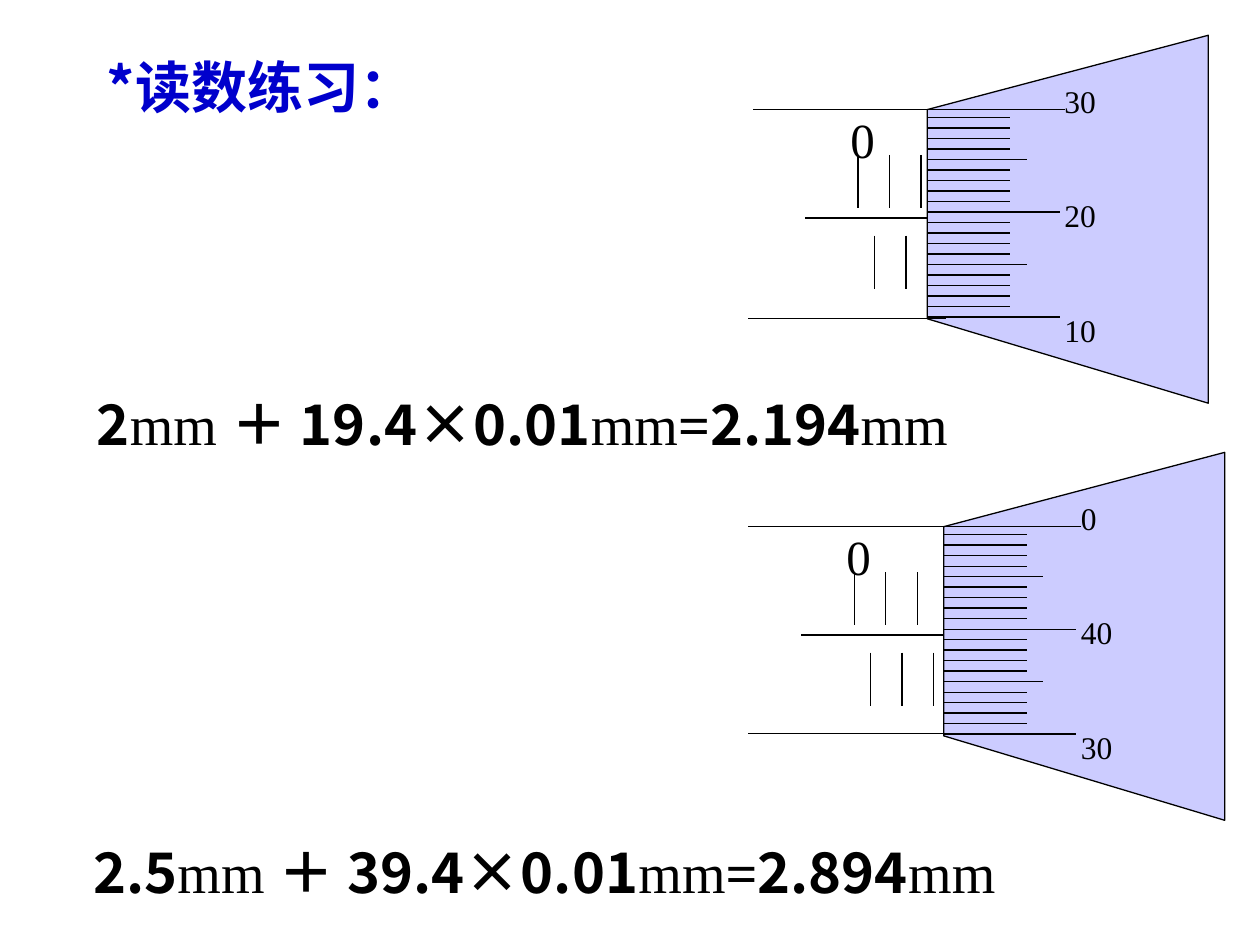
from lxml import etree
from pptx import Presentation
from pptx.dml.color import RGBColor
from pptx.enum.shapes import MSO_CONNECTOR
from pptx.enum.text import MSO_ANCHOR
from pptx.oxml.ns import qn
from pptx.util import Inches, Pt

CJK, LATIN = "Noto Sans CJK SC", "Times New Roman"
BLACK, BLUE, LILAC = "000000", "0000CC", "CCCCFF"


def rgb(color):
    """Turn a hex string into a colour."""
    return RGBColor.from_string(color)


def add_text(s, x, y, w, h, runs, size, color=BLACK, anchor=MSO_ANCHOR.TOP):
    """Add one line of text from (text, font, bold) runs."""
    tf = s.shapes.add_textbox(Inches(x), Inches(y), Inches(w), Inches(h)).text_frame
    tf.word_wrap, tf.vertical_anchor = True, anchor
    p = tf.paragraphs[0]
    for text, font, bold in runs:
        r = p.add_run()
        r.text = text
        r.font.color.rgb = rgb(color)
        for name, value in {"name": font, "size": Pt(size), "bold": bold}.items():
            setattr(r.font, name, value)
        r.font._element.find(qn("a:latin")).addnext(
            etree.Element(qn("a:ea"), typeface=CJK))


def add_line(s, x1, y1, x2, y2):
    """Draw a thin black line."""
    c = s.shapes.add_connector(MSO_CONNECTOR.STRAIGHT, Inches(x1), Inches(y1),
                               Inches(x2), Inches(y2))
    c.line.color.rgb, c.line.width = rgb(BLACK), Pt(0.75)
    etree.SubElement(c._element.spPr, qn("a:effectLst"))


def add_sleeve(s, zero, y, edge):
    """Draw the main scale, as far as the thimble edge, from its zero mark."""
    add_text(s, zero - 0.16, y - 0.05, 0.5, 0.5, [("0", LATIN, False)], 28)
    for start, top in ((zero, y + 0.36), (zero + 0.13, y + 1)):
        for i in range(int((edge - start) / 0.25) + 1):
            add_line(s, start + i * 0.25, top, start + i * 0.25, top + 0.42)
    add_line(s, zero - 0.42, y + 0.86, edge, y + 0.86)


def add_thimble(s, x, y, labels):
    """Draw the thimble with its 20 divisions and numbers."""
    fb = s.shapes.build_freeform(Inches(x), Inches(y), scale=1.0)
    fb.add_line_segments([(Inches(x + dx), Inches(y + dy)) for dx, dy in
                          ((0, 1.66), (2.23, 2.33), (2.23, -0.59))])
    sp = fb.convert_to_shape()
    sp.shadow.inherit = False
    sp.fill.solid()
    sp.fill.fore_color.rgb = rgb(LILAC)
    sp.line.color.rgb, sp.line.width = rgb(BLACK), Pt(0.75)
    for i in range(1, 21):
        length = 1.05 if i % 10 == 0 else 0.79 if i % 5 == 0 else 0.66
        tick = y - 0.02 + i / 12
        add_line(s, x, tick, x + length, tick)
    for i, label in enumerate(labels):
        add_text(s, x + 0.99, y - 0.27 + i * 0.91, 0.5, 0.37,
                 [(label, LATIN, False)], 18)


def add_micrometer(s, x, y, zero, left, bottom, bottom_end, labels):
    """Draw one micrometer whose thimble starts at x, y."""
    add_sleeve(s, zero, y, x)
    add_thimble(s, x, y, labels)
    add_line(s, left, y, x + 1.09, y)
    add_line(s, 5.94, bottom, bottom_end, bottom)


def add_reading(s, x, y, w, main, turns, total):
    """Write the sum that gives one reading."""
    runs = [(main, CJK, True), ("mm ", LATIN, False), ("＋ ", LATIN, True),
            (f"{turns}×0.01", CJK, True), ("mm", LATIN, False),
            ("=", LATIN, True), (total, CJK, True), ("mm", LATIN, False)]
    add_text(s, x, y, w, 0.64, runs, 32, anchor=MSO_ANCHOR.MIDDLE)


def main():
    """Build the slide."""
    prs = Presentation()
    prs.slide_width, prs.slide_height = Inches(10), Inches(7.5)
    s = prs.slides.add_slide(prs.slide_layouts[6])
    add_micrometer(s, 7.36, 0.87, 6.81, 5.98, 2.53, 7.51, ("30", "20", "10"))
    add_text(s, 0.75, 0.36, 8.35, 0.64, [("*读数练习：", CJK, True)], 32, BLUE,
             MSO_ANCHOR.MIDDLE)
    add_reading(s, 0.67, 3.04, 7.24, "2", "19.4", "2.194")
    add_reading(s, 0.64, 6.59, 7.59, "2.5", "39.4", "2.894")
    add_micrometer(s, 7.49, 4.18, 6.78, 5.94, 5.82, 7.9, ("0", "40", "30"))
    prs.save("out.pptx")


if __name__ == "__main__":
    main()
